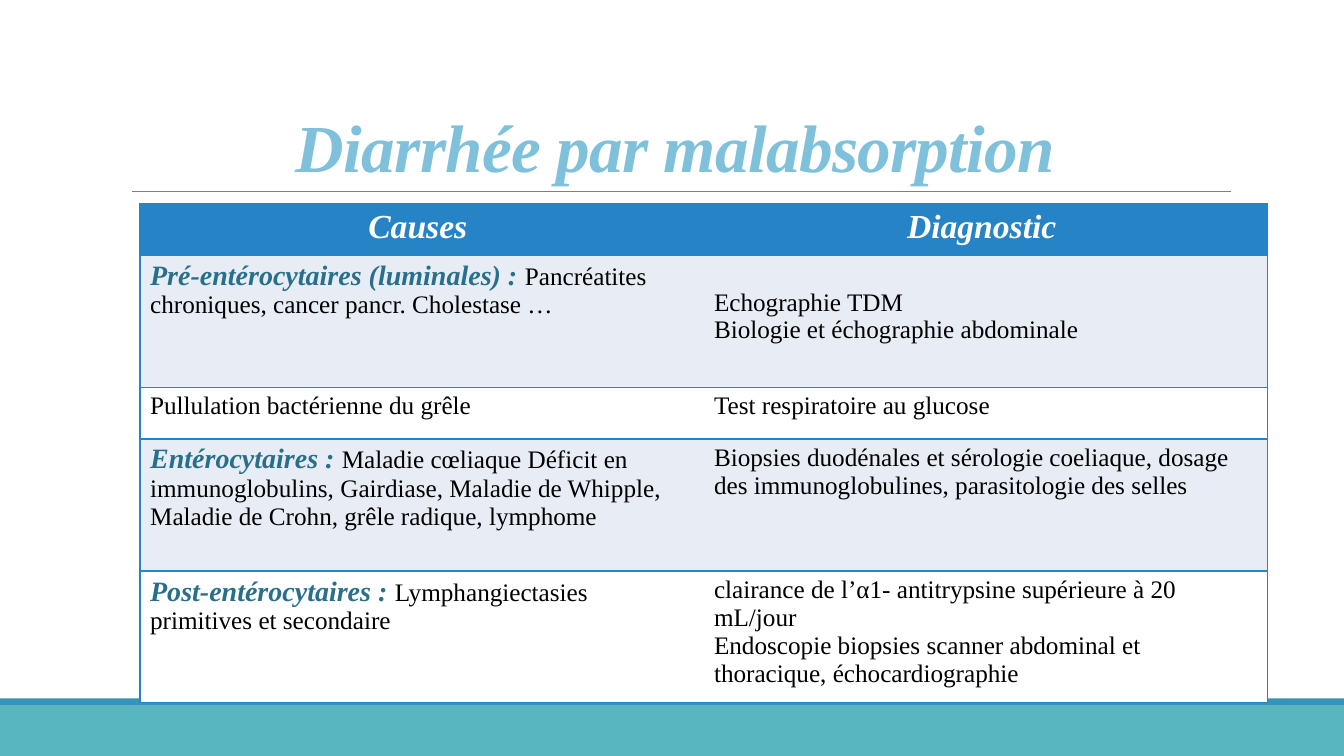
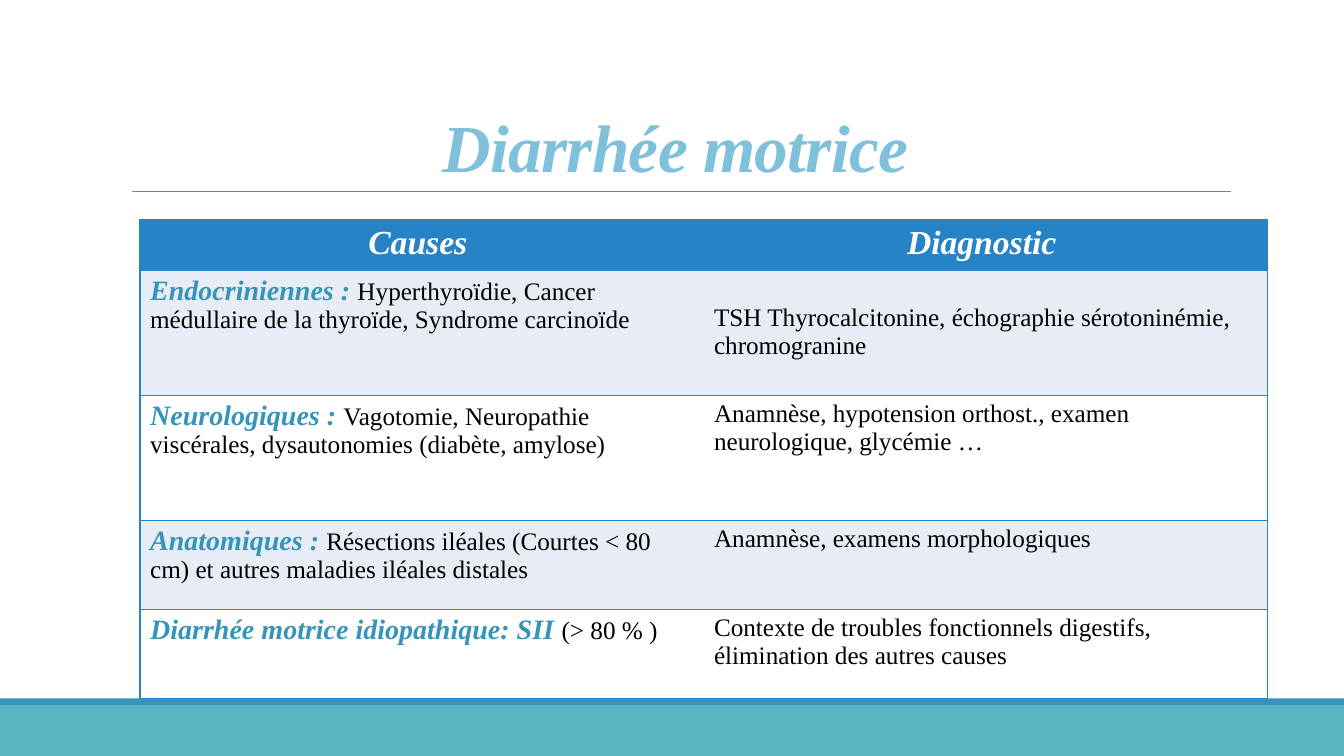
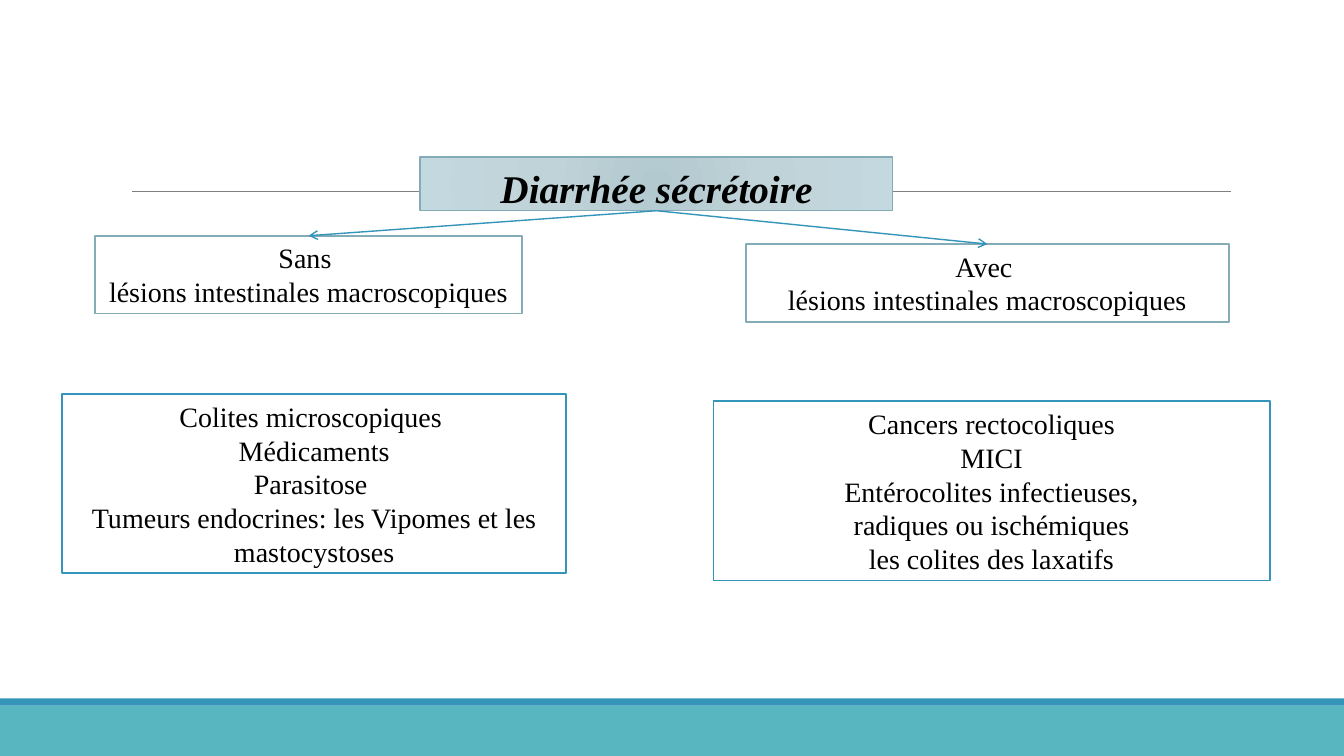
from pptx import Presentation
from pptx import util as u
from pptx.dml.color import RGBColor
from pptx.enum import shapes, text
from pptx.oxml import parse_xml
from pptx.oxml.ns import nsdecls, qn

HUES = {
    "teal": "58B6C0", "blue": "3494BA", "deep": "276F8B", "sky": "7FC1DB",
    "head": "2683C6", "pale": "E8EDF5", "white": "FFFFFF", "black": "000000",
    "gray": "808080", "edge": "84ACB6",
}
GLOW = ((0, "B1C9CF"), (45, "BFD3D8"), (100, "C4D9DF"))
FACE = "Times New Roman"
WIDTH, HEIGHT = 33.87, 19.05


class Deck:
    """Holds the shared style and the slide being drawn."""

    def __init__(self):
        self.prs = Presentation()
        self.prs.slide_width, self.prs.slide_height = u.Cm(WIDTH), u.Cm(HEIGHT)
        self.slide = None

    def hue(self, name):
        return RGBColor.from_string(HUES[name])

    def font(self, font, size, hue="black", strong=False):
        font.name, font.size = FACE, u.Pt(size)
        font.bold = font.italic = strong
        font.color.rgb = self.hue(hue)

    def page(self, title=None):
        self.slide = self.prs.slides.add_slide(self.prs.slide_layouts[6])
        self.rect((0, 17.78, WIDTH, 1.27), "teal")
        self.rect((0, 17.6, WIDTH, 0.18), "blue")
        rule = self.line("gray", 0.5)
        rule.begin_x, rule.end_x = u.Cm(3.33), u.Cm(31.01)
        rule.begin_y = rule.end_y = u.Cm(4.83)
        if title:
            self.title(title)

    def title(self, words):
        area = map(u.Cm, (3.05, 0.79, 27.94, 4.04))
        frame = self.slide.shapes.add_textbox(*area).text_frame
        frame.word_wrap = True
        frame.vertical_anchor = text.MSO_ANCHOR.BOTTOM
        para = frame.paragraphs[0]
        para.alignment, para.line_spacing = text.PP_ALIGN.CENTER, 0.85
        run = para.add_run()
        run.text = words
        self.font(para.font, 48, "sky", True)
        run._r.get_or_add_rPr().set("spc", "-50")

    def rect(self, area, fill, edge=None, width=1.25):
        box = self.slide.shapes.add_shape(
            shapes.MSO_SHAPE.RECTANGLE, *map(u.Cm, area))
        box.shadow.inherit = False
        box.fill.solid()
        box.fill.fore_color.rgb = self.hue(fill)
        if edge:
            box.line.color.rgb = self.hue(edge)
            box.line.width = u.Pt(width)
        else:
            box.line.fill.background()
        return box

    def box(self, area, lines, edge, size=20, strong=False, width=1.25):
        box = self.rect(area, "white", edge, width)
        frame = box.text_frame
        frame.word_wrap = True
        frame.vertical_anchor = text.MSO_ANCHOR.MIDDLE
        for i, words in enumerate(lines):
            para = frame.add_paragraph() if i else frame.paragraphs[0]
            para.text = words
            para.alignment = text.PP_ALIGN.CENTER
            self.font(para.font, size, strong=strong)
        return box

    def glow(self, box):
        stops = "".join(
            f'<a:gs pos="{at * 1000}"><a:srgbClr val="{tone}"/></a:gs>'
            for at, tone in GLOW)
        sides = " ".join(f'{side}="100000"' for side in "ltrb")
        props = box._element.spPr
        props.replace(props.find(qn("a:solidFill")), parse_xml(
            f'<a:gradFill {nsdecls("a")}><a:gsLst>{stops}</a:gsLst>'
            f'<a:path path="circle"><a:fillToRect {sides}/></a:path></a:gradFill>'))

    def line(self, hue, width):
        line = self.slide.shapes.add_connector(
            shapes.MSO_CONNECTOR.STRAIGHT, 0, 0, 0, 0)
        line.line.color.rgb = self.hue(hue)
        line.line.width = u.Pt(width)
        line._element.spPr.append(parse_xml(f'<a:effectLst {nsdecls("a")}/>'))
        return line

    def arrow(self, start, end):
        line = self.line("blue", 1)
        line.begin_connect(start, 2)
        line.end_connect(end, 0)
        line.line._get_or_add_ln().append(
            parse_xml(f'<a:tailEnd {nsdecls("a")} type="arrow"/>'))

    def border(self, cell, open_side):
        props = cell._tc.get_or_add_tcPr()
        for i, side in enumerate("LRTB"):
            paint = ("<a:noFill/>" if side == open_side else
                     f'<a:solidFill><a:srgbClr val="{HUES["head"]}"/></a:solidFill>')
            props.insert(i, parse_xml(
                f'<a:ln{side} {nsdecls("a")} w="12700">{paint}</a:ln{side}>'))

    def cell(self, cell, lines, fill, open_side):
        cell.fill.solid()
        cell.fill.fore_color.rgb = self.hue(fill)
        self.border(cell, open_side)
        for i, words in enumerate(lines):
            para = (cell.text_frame.add_paragraph() if i
                    else cell.text_frame.paragraphs[0])
            para.text = words
            if fill == "head":
                para.alignment = text.PP_ALIGN.CENTER
                self.font(para.font, 24, "white", True)
            else:
                self.font(para.font, 18)

    def label(self, cell, label, words, hue):
        para = cell.text_frame.paragraphs[0]
        para.text = label
        self.font(para.runs[0].font, 20, hue, True)
        run = para.add_run()
        run.text = words
        self.font(run.font, 18)

    def table(self, top, heights, rows, hue):
        width = 14.21
        grid = self.slide.shapes.add_table(
            len(heights), 2, u.Cm(3.53), u.Cm(top),
            u.Cm(2 * width), u.Cm(sum(heights))).table
        grid.first_row = grid.horz_banding = False
        for col in grid.columns:
            col.width = u.Cm(width)
        for i, height in enumerate(heights):
            grid.rows[i].height = u.Cm(height)
        for i, name in enumerate(("Causes ", "Diagnostic ")):
            self.cell(grid.cell(0, i), [name], "head", "RL"[i])
        for i, (label, cause, tests) in enumerate(rows, 1):
            fill = "pale" if i % 2 else "white"
            left, right = grid.cell(i, 0), grid.cell(i, 1)
            self.cell(left, [] if label else [cause], fill, "R")
            if label:
                self.label(left, label, cause, hue)
            self.cell(right, tests, fill, "L")
        grid.cell(1, 1).margin_top = u.Cm(0.84)


def main():
    deck = Deck()

    deck.page("Diarrhée par malabsorption")
    deck.table(5.13, (1.3, 3.33, 1.3, 3.33, 3.15), (
        ("Pré-entérocytaires (luminales) : ",
         "Pancréatites chroniques, cancer pancr. Cholestase …",
         ["Echographie TDM", "Biologie et échographie abdominale"]),
        ("", "Pullulation bactérienne du grêle",
         ["Test respiratoire au glucose"]),
        ("Entérocytaires : ",
         "Maladie cœliaque Déficit en immunoglobulins, Gairdiase, "
         "Maladie de Whipple, Maladie de Crohn, grêle radique, lymphome",
         ["Biopsies duodénales et sérologie coeliaque, dosage des "
          "immunoglobulines, parasitologie des selles"]),
        ("Post-entérocytaires : ", "Lymphangiectasies primitives et secondaire",
         ["clairance de l’α1- antitrypsine supérieure à 20 mL/jour",
          "Endoscopie biopsies scanner abdominal et thoracique, "
          "échocardiographie"]),
    ), "deep")

    deck.page("Diarrhée motrice")
    deck.table(5.54, (1.24, 3.15, 3.15, 2.24, 2.24), (
        ("Endocriniennes : ",
         "Hyperthyroïdie, Cancer médullaire de la thyroïde, Syndrome carcinoïde",
         ["TSH Thyrocalcitonine, échographie sérotoninémie, chromogranine"]),
        ("Neurologiques : ",
         "Vagotomie, Neuropathie viscérales, dysautonomies (diabète, amylose)",
         ["Anamnèse, hypotension orthost., examen neurologique, glycémie …"]),
        ("Anatomiques : ",
         "Résections iléales (Courtes < 80 cm) et autres maladies iléales distales",
         ["Anamnèse, examens morphologiques"]),
        ("Diarrhée motrice idiopathique: SII ", "(> 80 % )",
         ["Contexte de troubles fonctionnels digestifs, élimination des "
          "autres causes"]),
    ), "blue")

    deck.page()
    root = deck.box((10.59, 3.96, 11.91, 1.35), ["Diarrhée sécrétoire"],
                    "edge", 28, True, 1)
    root.text_frame.margin_top = u.Cm(0.34)
    deck.glow(root)
    lesions = "lésions intestinales macroscopiques"
    avec = deck.box((18.8, 6.15, 12.17, 1.96), ["Avec ", lesions], "edge")
    sans = deck.box((2.39, 5.94, 10.77, 1.96), ["Sans ", lesions], "edge")
    deck.box((1.57, 9.93, 12.7, 4.52), [
        "Colites microscopiques ", "Médicaments", "Parasitose ",
        "Tumeurs endocrines: les Vipomes et les mastocystoses"], "blue")
    deck.box((17.98, 10.11, 14.02, 4.52), [
        "Cancers rectocoliques", "MICI", "Entérocolites infectieuses,",
        "radiques ou ischémiques", "les colites des laxatifs"], "blue")
    for branch in (avec, sans):
        deck.arrow(root, branch)

    deck.prs.save("out.pptx")


if __name__ == "__main__":
    main()
